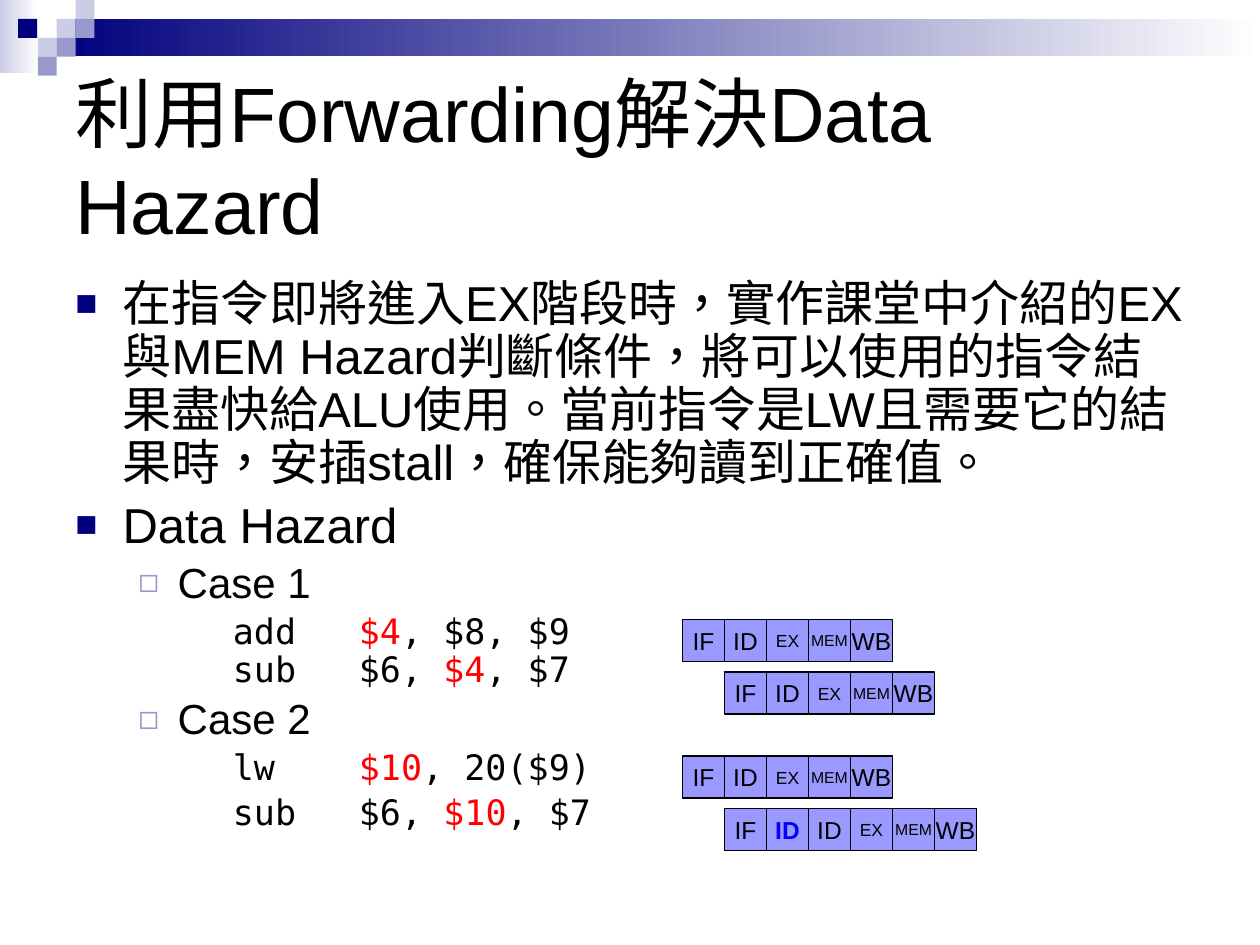
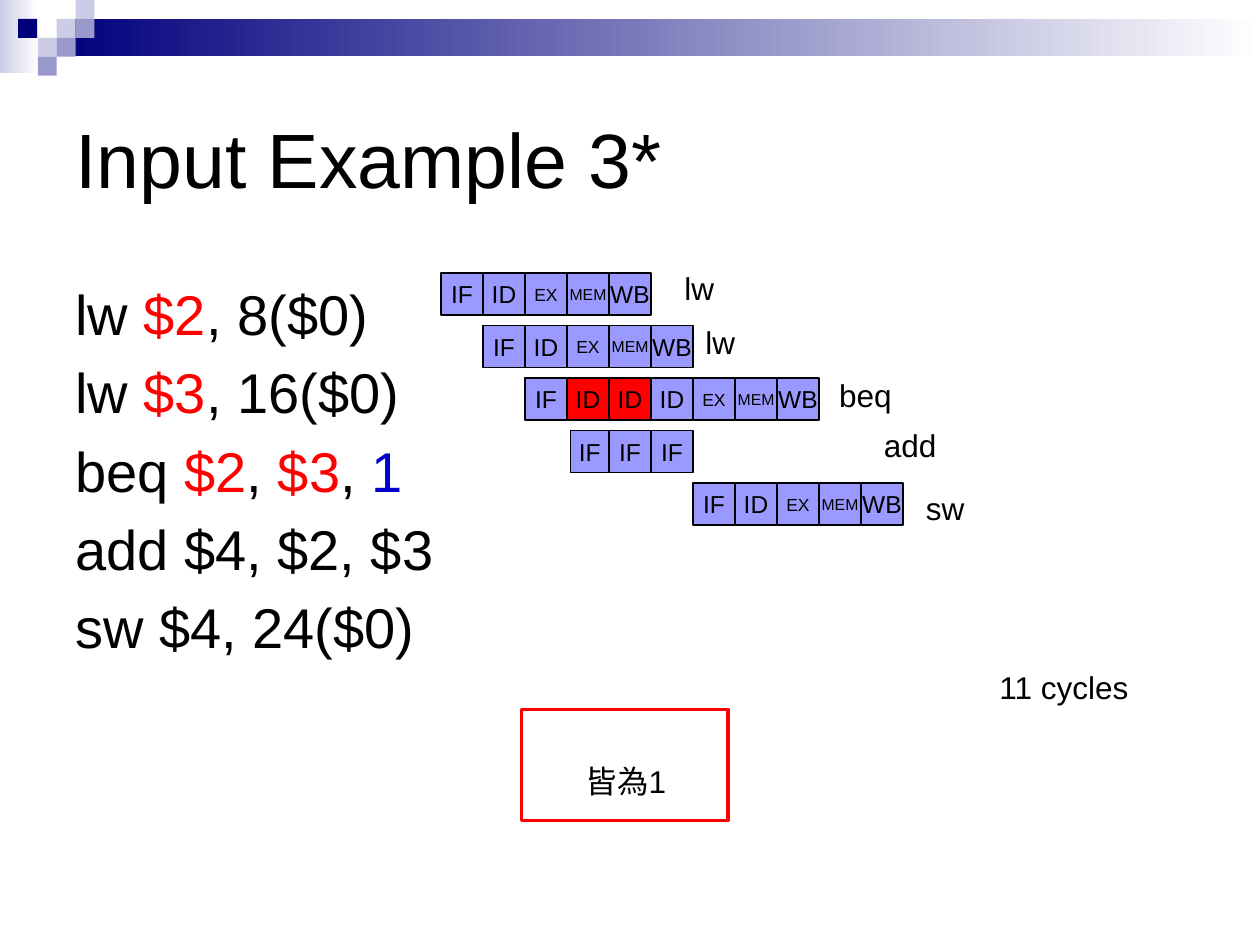
from lxml.etree import SubElement
from pptx import Presentation
from pptx.dml.color import RGBColor
from pptx.enum.lang import MSO_LANGUAGE_ID
from pptx.enum.shapes import MSO_SHAPE
from pptx.enum.text import MSO_ANCHOR, PP_ALIGN
from pptx.oxml.ns import qn
from pptx.util import Pt

NAVY = RGBColor(0x00, 0x00, 0x7D)
LAVENDER = RGBColor(0xCC, 0xCC, 0xE6)
MAUVE = RGBColor(0x99, 0x99, 0xCC)
STAGE_FILL = RGBColor(0x99, 0x99, 0xFF)
WHITE = RGBColor(0xFF, 0xFF, 0xFF)
BLACK = RGBColor(0x00, 0x00, 0x00)
RED = RGBColor(0xFF, 0x00, 0x00)
BLUE = RGBColor(0x00, 0x00, 0xFF)
TARGET_BLUE = RGBColor(0x00, 0x00, 0xCC)

SANS = "Arial"
MONO = "DejaVu Sans Mono"
CELL = 24
STAGE_SIZES = {"IF": 14, "ID": 14, "EX": 10, "MEM": 9, "WB": 14}


def write(box, *pieces, size, font=SANS, bold=False, align=PP_ALIGN.LEFT, margin=0, hanging=0,
          bullet=None, bullet_color=NAVY, bullet_percent=75, line_spacing=None, space_percent=0):
    frame = box.text_frame
    para = frame.paragraphs[0]
    if para.runs:
        para = frame.add_paragraph()
    para.alignment = align
    settings = para._p.get_or_add_pPr()
    settings.set("marL", str(Pt(margin)))
    settings.set("indent", str(-Pt(hanging)))
    settings.set("defTabSz", str(Pt(72)))
    spacing = SubElement(settings, qn("a:spcBef"))
    SubElement(spacing, qn("a:spcPct"), val=str(space_percent * 1000))
    if bullet:
        color = SubElement(settings, qn("a:buClr"))
        SubElement(color, qn("a:srgbClr"), val=str(bullet_color))
        SubElement(settings, qn("a:buSzPct"), val=str(bullet_percent * 1000))
        SubElement(settings, qn("a:buFont"), typeface=SANS)
        SubElement(settings, qn("a:buChar"), char=bullet)
    if line_spacing:
        para.line_spacing = line_spacing
    for piece in pieces:
        if piece == "\n":
            para.add_line_break()
            continue
        text, color = piece if isinstance(piece, tuple) else (piece, BLACK)
        span = para.add_run()
        span.text = text
        span.font.size = Pt(size)
        span.font.name = font
        span.font.bold = bold
        span.font.color.rgb = color
        span.font.language_id = MSO_LANGUAGE_ID.TRADITIONAL_CHINESE


def add_block(page, left, top, width, height, fill=None, line=None, line_width=0.75):
    block = page.shapes.add_shape(MSO_SHAPE.RECTANGLE, Pt(left), Pt(top), Pt(width), Pt(height))
    block.shadow.inherit = False
    if fill is None:
        block.fill.background()
    else:
        block.fill.solid()
        block.fill.fore_color.rgb = fill
    if line is None:
        block.line.fill.background()
    else:
        block.line.color.rgb = line
        block.line.width = Pt(line_width)
    return block


deck = Presentation()
deck.slide_width = Pt(720)
deck.slide_height = Pt(540)

bands = [(0, 0, 22, 42, LAVENDER), (32.4, 10.8, 687.6, 21.4, NAVY)]
squares = [
    (32.4, 10.8, LAVENDER), (43.2, 0, LAVENDER), (43.2, 10.8, MAUVE), (21.6, 21.6, LAVENDER),
    (10.4, 10.8, NAVY), (32.4, 21.6, MAUVE), (21.6, 32.4, MAUVE),
]
pages = []
bodies = []
for title in ["利用Forwarding解決Data Hazard", "Input Example 3*"]:
    page = deck.slides.add_slide(deck.slide_layouts[6])
    for left, top, width, height, color in bands:
        band = add_block(page, left, top, width, height)
        band.fill.gradient()
        band.fill.gradient_angle = 0
        for stop, stop_color in zip(band.fill.gradient_stops, (color, WHITE)):
            stop.color.rgb = stop_color
    for left, top, color in squares:
        add_block(page, left, top, 10.8, 10.8, color)
    title_box = page.shapes.add_textbox(Pt(36), Pt(36), Pt(648), Pt(108))
    title_box.text_frame.word_wrap = True
    title_box.text_frame.vertical_anchor = MSO_ANCHOR.MIDDLE
    write(title_box, title, size=44)
    body = page.shapes.add_textbox(Pt(36), Pt(156), Pt(648), Pt(306))
    body.text_frame.word_wrap = True
    pages.append(page)
    bodies.append(body)

hazard_page, example_page = pages
hazard_body, example_body = bodies

common = dict(line_spacing=0.9, space_percent=20)
topic = dict(size=28, margin=27, hanging=27, bullet="■", **common)
case = dict(size=24, margin=58.5, hanging=22.5, bullet="◻", bullet_color=MAUVE,
            bullet_percent=80, **common)
code = dict(size=20, font=MONO, margin=90, hanging=18, **common)
hazard_lines = [
    (["在指令即將進入EX階段時，實作課堂中介紹的EX與MEM Hazard判斷條件，"
      "將可以使用的指令結果盡快給ALU使用。當前指令是LW且需要它的結果時，"
      "安插stall，確保能夠讀到正確值。"], topic),
    (["Data Hazard"], topic),
    (["Case 1"], case),
    (["\tadd\t", ("$4", RED), ", $8, $9", "\n", "sub\t$6, ", ("$4", RED), ", $7"], code),
    (["Case 2"], case),
    (["\tlw\t", ("$10", RED), ", 20($9)"], code),
    (["\tsub\t$6, ", ("$10", RED), ", $7"], code),
]
for pieces, style in hazard_lines:
    write(hazard_body, *pieces, **style)

instructions = [
    ["lw ", ("$2", RED), ", 8($0)"],
    ["lw ", ("$3", RED), ", 16($0)"],
    ["beq ", ("$2", RED), ", ", ("$3", RED), ", ", ("1", TARGET_BLUE)],
    ["add $4, $2, $3"],
    ["sw $4, 24($0)"],
]
for pieces in instructions:
    write(example_body, *pieces, size=32, margin=27, hanging=27, space_percent=20)

FULL = "IF ID EX MEM WB"
pipelines = [
    (hazard_page, 390, 354, FULL, 0, CELL),
    (hazard_page, 414, 384, FULL, 0, CELL),
    (hazard_page, 390, 432, FULL, 0, CELL),
    (hazard_page, 414, 462, "IF ID ID EX MEM WB", 1, CELL),
    (example_page, 252, 156, FULL, 0, CELL),
    (example_page, 276, 186, FULL, 0, CELL),
    (example_page, 300, 216, "IF ID ID ID EX MEM WB", 2, CELL),
    (example_page, 326, 246, "IF", 0, 22),
    (example_page, 348, 246, "IF IF", 0, CELL),
    (example_page, 396, 276, FULL, 0, CELL),
]
for page, left, top, stages, stalls, width in pipelines:
    for index, stage in enumerate(stages.split()):
        stalled = 1 <= index <= stalls
        red_stall = stalled and page is example_page
        blue_stall = stalled and page is hazard_page
        cell = add_block(page, left + index * width, top, width, CELL,
                         RED if red_stall else STAGE_FILL, BLACK)
        cell.text_frame.word_wrap = False
        cell.text_frame.vertical_anchor = MSO_ANCHOR.MIDDLE
        write(cell, (stage, BLUE if blue_stall else BLACK), size=STAGE_SIZES[stage],
              bold=blue_stall, align=PP_ALIGN.CENTER)

add_block(example_page, 298, 405.4, 118, 63.4, line=RED, line_width=2)

labels = [
    ("lw", 384, 150, 32), ("lw", 396, 181.2, 32), ("beq", 472.4, 211.2, 45),
    ("add", 498, 240, 45), ("sw", 522, 276, 37), ("11 cycles", 564, 378, 90),
    ("皆為1", 327.6, 432, 68),
]
for text, left, top, width in labels:
    label = example_page.shapes.add_textbox(Pt(left), Pt(top), Pt(width), Pt(29))
    label.text_frame.word_wrap = False
    write(label, text, size=18)

deck.save("out.pptx")
